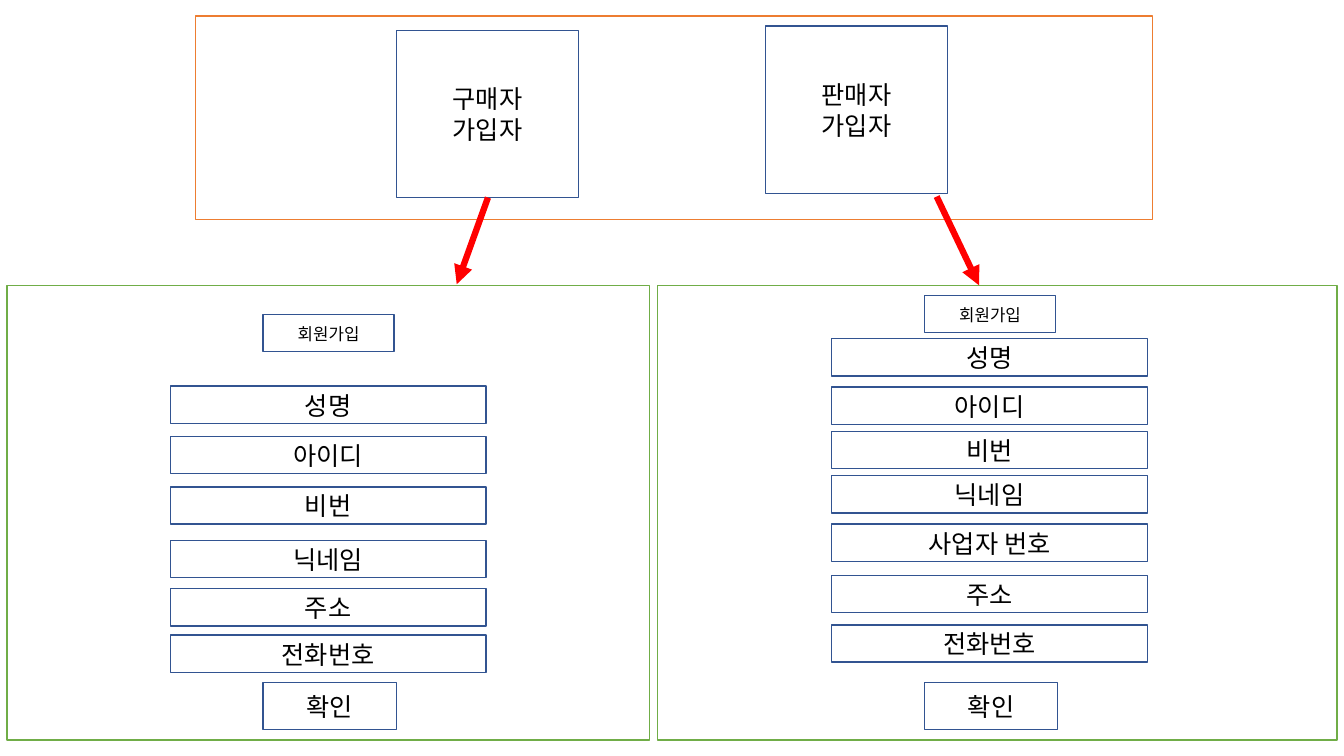
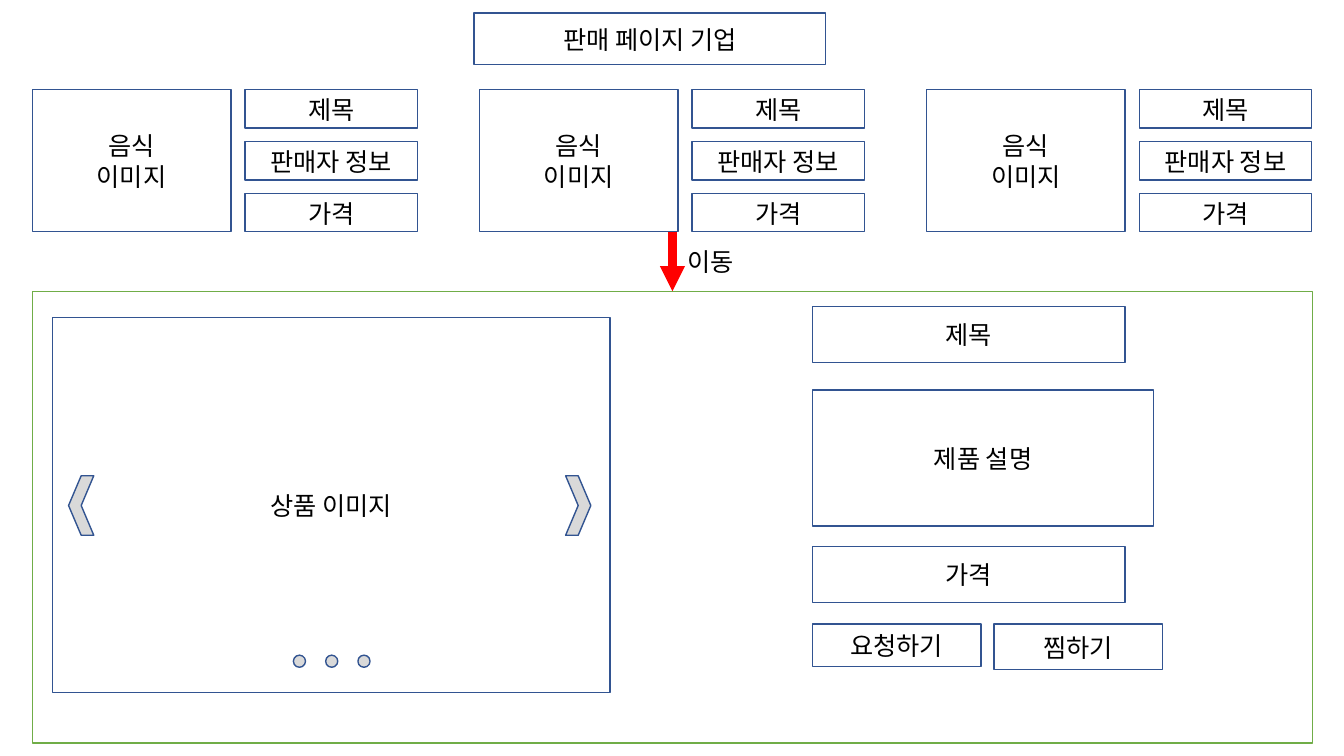
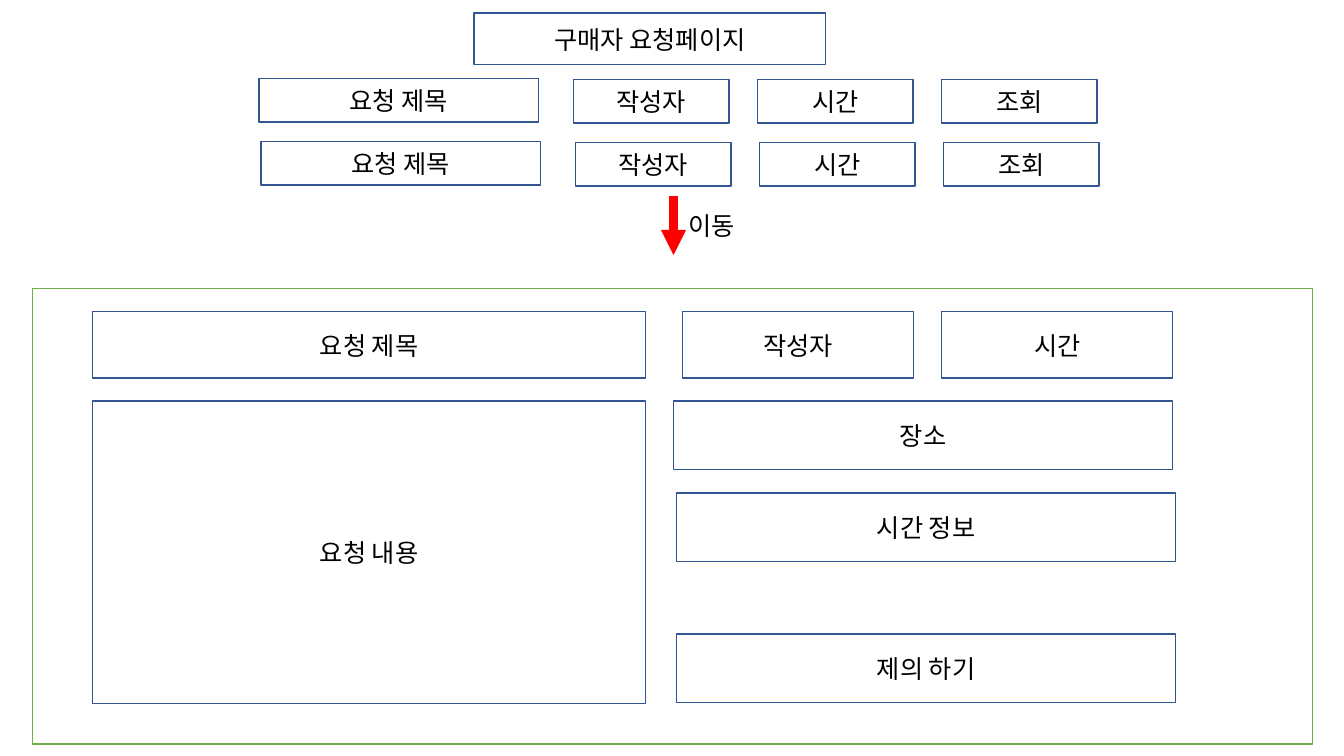
from dataclasses import dataclass
from lxml.etree import SubElement as add_tag
from pptx import Presentation
from pptx.dml.color import RGBColor as Rgb
from pptx.enum.shapes import MSO_CONNECTOR as Link, MSO_SHAPE as Kind
from pptx.enum.text import MSO_ANCHOR as Anchor, PP_ALIGN as Align
from pptx.oxml.ns import qn
from pptx.util import Inches, Pt


@dataclass(frozen=True)
class Theme:
    font: str = "Noto Sans CJK KR"
    body: int = 18
    small: int = 12
    lead: float = 1.22
    ink: str = "000000"
    paper: str = "FFFFFF"
    edge: str = "325491"
    frame: str = "70AD47"
    group: str = "ED7D31"
    mark: str = "D9D9D9"
    arrow: str = "FF0000"


THEME = Theme()

# Grid: square cells, ten to the inch
COLS, ROWS = 133.3, 75


def cell(count):
    return Inches(count / 10)


def color(code):
    return Rgb.from_string(code)


# Text
def write(frame, text, size, align):
    frame.word_wrap = True
    for i, line in enumerate(text.split("\n")):
        para = frame.paragraphs[0] if i == 0 else frame.add_paragraph()
        para.alignment = align
        para.line_spacing = Pt(round(size * THEME.lead))
        run = para.add_run()
        run.text = line
        font = run.font
        font.size, font.name = Pt(size), THEME.font
        font.color.rgb = color(THEME.ink)
        add_tag(font._element, qn("a:ea"), typeface=THEME.font)


def label(slide, x, y, text):
    area = slide.shapes.add_textbox(cell(x), cell(y), cell(8), cell(4))
    write(area.text_frame, text, THEME.body, Align.LEFT)


# Shapes
def box(slide, x, y, w, h, text="", size=THEME.body, edge=THEME.edge,
        fill=THEME.paper, kind=Kind.RECTANGLE):
    shape = slide.shapes.add_shape(kind, cell(x), cell(y), cell(w), cell(h))
    shape.shadow.inherit = False
    shape.fill.solid()
    shape.fill.fore_color.rgb = color(fill)
    shape.line.color.rgb = color(edge)
    shape.line.width = Pt(1)
    if text:
        shape.text_frame.vertical_anchor = Anchor.MIDDLE
        write(shape.text_frame, text, size, Align.CENTER)
    return shape


def panel(slide, x, y, w, h, edge=THEME.frame):
    box(slide, x, y, w, h, edge=edge)


def arrow(slide, x1, y1, x2, y2, width):
    line = slide.shapes.add_connector(
        Link.STRAIGHT, cell(x1), cell(y1), cell(x2), cell(y2))
    line.line.color.rgb = color(THEME.arrow)
    line.line.width = Pt(width)
    add_tag(line.line._get_or_add_ln(), qn("a:tailEnd"), type="triangle")
    add_tag(line._element.spPr, qn("a:effectLst"))


# Parts made of several shapes
def header(slide, text):
    box(slide, 47, 1.3, 34.9, 5.1, text)


def move(slide, x, y):
    arrow(slide, x, y, x, y + 5.9, 6)
    label(slide, x + 0.5, y + 0.9, "이동")


def form(slide, x, top, fields):
    box(slide, x + 9.2, top, 13, 3.7, "회원가입", THEME.small)
    for text, y in fields:
        box(slide, x, y, 31.3, 3.7, text)
    box(slide, x + 9.2, 67.7, 13.2, 4.7, "확인")


def card(slide, x, y):
    box(slide, x, y, 19.7, 14.1, "음식\n이미지")
    for i, text in enumerate(("제목", "판매자 정보", "가격")):
        box(slide, x + 21.1, y + i * 5.15, 17.1, 3.8, text)


def viewer(slide, x, y):
    box(slide, x, y, 55.3, 37.2, "상품 이미지")
    for gap, turn in ((1.6, 180), (50.9, 0)):
        mark = box(slide, x + gap, y + 15.7, 2.5, 5.9,
                   fill=THEME.mark, kind=Kind.CHEVRON)
        mark.rotation = turn
    for i in range(3):
        box(slide, x + 23.9 + i * 3.2, y + 33.5, 1.2, 1.2,
            fill=THEME.mark, kind=Kind.OVAL)


def entry(slide, x, y):
    box(slide, x, y, 27.7, 4.3, "요청 제목")
    for i, text in enumerate(("작성자", "시간", "조회")):
        box(slide, x + 31.2 + i * 18.25, y + 0.1, 15.4, 4.3, text)


# Slides
def join_page(slide):
    panel(slide, 65.2, 28.3, 67.4, 45.1)
    panel(slide, 0.7, 28.3, 63.7, 45.1)
    panel(slide, 19.4, 1.6, 94.9, 20.2, THEME.group)
    box(slide, 39.3, 3, 18.1, 16.6, "구매자\n가입자")
    box(slide, 75.9, 2.6, 18.1, 16.6, "판매자\n가입자")
    arrow(slide, 48.4, 19.6, 45.3, 28.2, 4.5)
    arrow(slide, 92.9, 19.5, 97.1, 28.3, 4.5)
    form(slide, 16.9, 31.2, (
        ("성명", 38.3), ("아이디", 43.3), ("비번", 48.3),
        ("닉네임", 53.6), ("주소", 58.4), ("전화번호", 63)))
    form(slide, 82.5, 29.3, (
        ("성명", 33.6), ("아이디", 38.4), ("비번", 42.8), ("닉네임", 47.2),
        ("사업자 번호", 52), ("주소", 57.1), ("전화번호", 62)))


def sale_page(slide):
    header(slide, "판매 페이지 기업")
    for i in range(3):
        card(slide, 3.2 + i * 44.35, 8.9)
    panel(slide, 3.2, 28.9, 127, 44.8)
    move(slide, 66.7, 23)
    viewer(slide, 5.2, 31.5)
    # Product details
    left = 80.6
    box(slide, left, 30.4, 31, 5.6, "제목")
    box(slide, left, 38.7, 33.8, 13.5, "제품 설명")
    box(slide, left, 54.2, 31, 5.6, "가격")
    box(slide, left, 61.9, 16.7, 4.2, "요청하기")
    box(slide, left + 18, 61.9, 16.7, 4.5, "찜하기")


def ask_page(slide):
    header(slide, "구매자 요청페이지")
    panel(slide, 3.2, 28.6, 127, 45.2)
    move(slide, 66.8, 19.4)
    for i in range(2):
        entry(slide, 25.7 + i * 0.2, 7.8 + i * 6.25)
    # Request details
    top, body = 30.9, 39.8
    box(slide, 9.2, top, 54.8, 6.6, "요청 제목")
    box(slide, 67.7, top, 22.9, 6.6, "작성자")
    box(slide, 93.4, top, 22.9, 6.6, "시간")
    box(slide, 9.2, body, 54.8, 30, "요청 내용")
    box(slide, 66.8, body, 49.5, 6.8, "장소")
    box(slide, 67.1, 48.9, 49.5, 6.8, "시간 정보")
    box(slide, 67.1, 62.9, 49.5, 6.8, "제의 하기")


def main():
    deck = Presentation()
    deck.slide_width, deck.slide_height = cell(COLS), cell(ROWS)
    blank = deck.slide_layouts[6]
    for draw in (join_page, sale_page, ask_page):
        draw(deck.slides.add_slide(blank))
    deck.save("out.pptx")


main()
